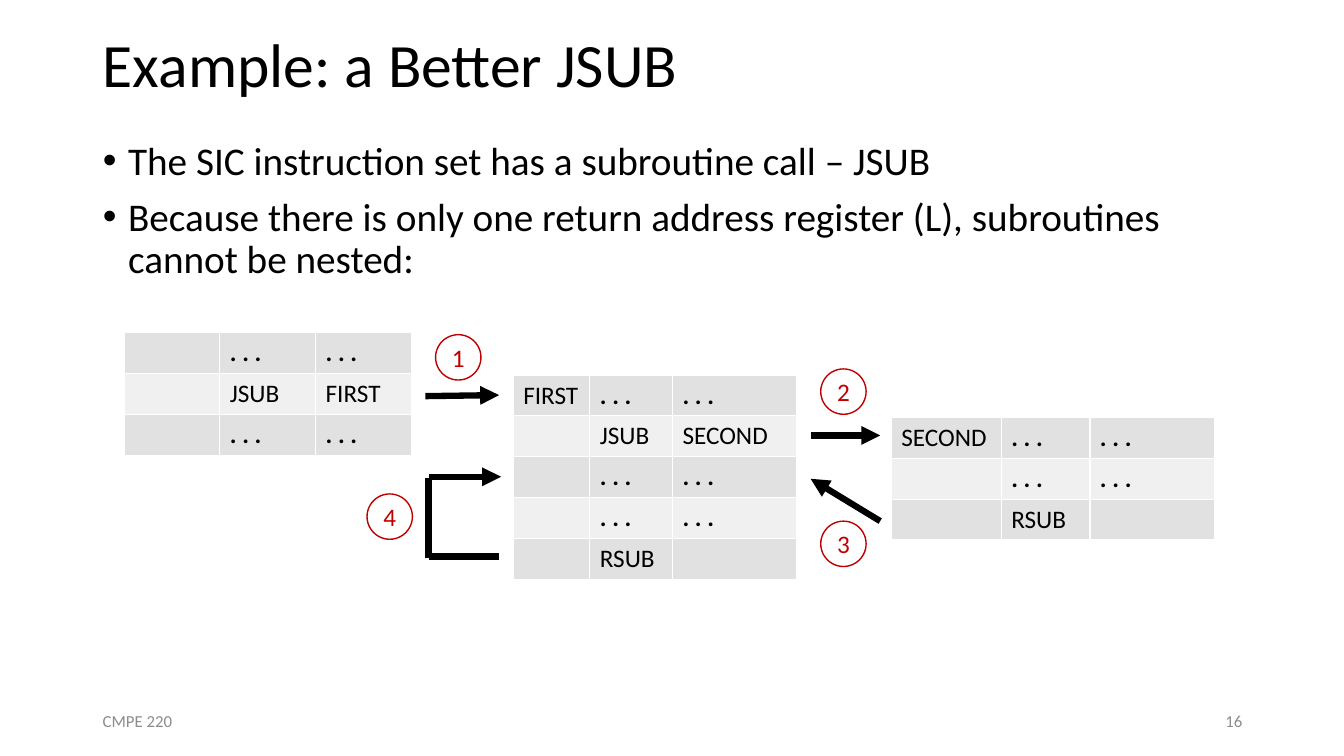
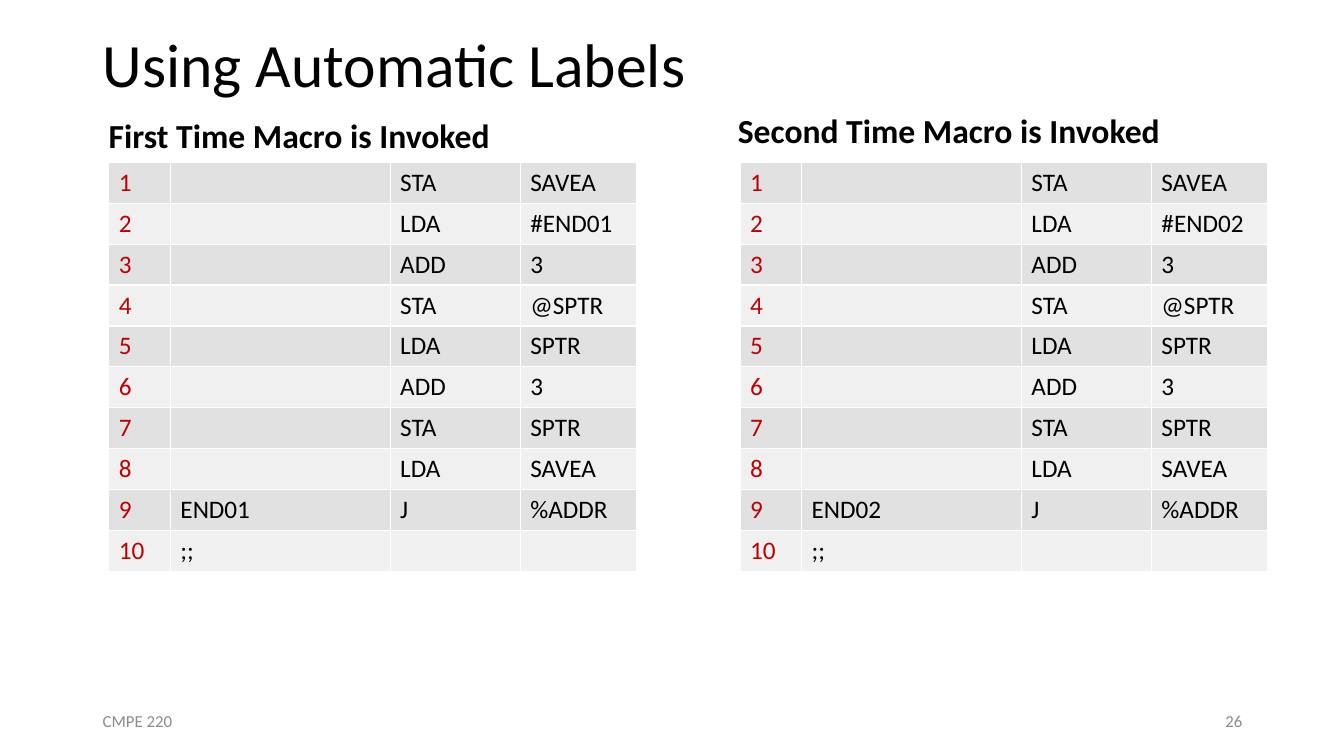
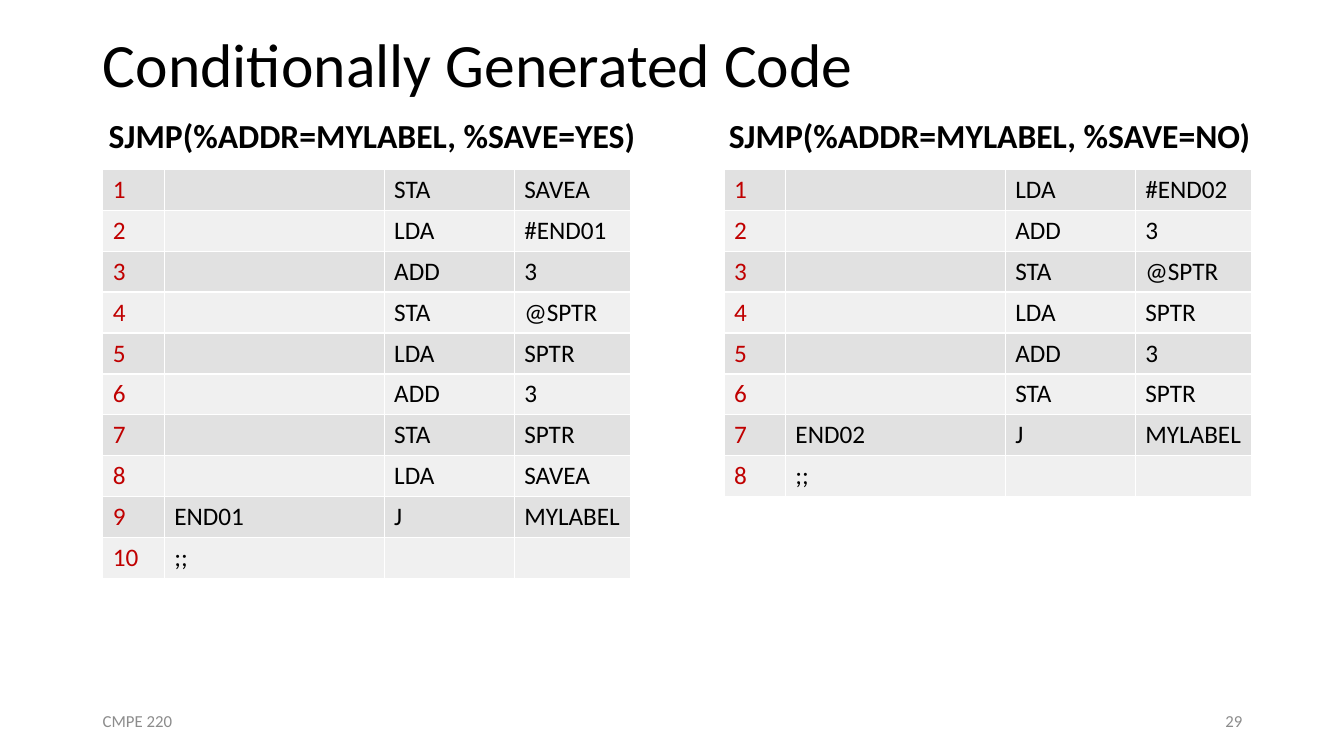
from pptx import Presentation
from pptx import util as u
from pptx.dml.color import RGBColor
from pptx.enum import shapes, text
from pptx.oxml.ns import qn
from lxml import etree

COLORS = {
    "ink": "000000",
    "accent": "C00000",
    "footer": "8C8C8C",
    "band_dark": "E1E1E1",
    "band_light": "F0F0F0",
    "grid": "FFFFFF",
}
FONT = "Calibri"
COURSE = "CMPE 220"
MARGIN, CONTENT_WIDTH = 0.92, 11.5
ROW_HEIGHT = 4.06 / 10
LISTING_COLUMNS = (0.61, 2.18, 1.29, 1.15)
BADGE_SIZE = 0.45
DOTS = ". . ."


def rgb(name):
    return RGBColor.from_string(COLORS[name])


def inches(*lengths):
    return [u.Inches(length) for length in lengths]


def add_run(paragraph, words, size, color="ink", bold=False):
    run = paragraph.add_run()
    run.text = words
    run.font.name = FONT
    run.font.size = u.Pt(size)
    run.font.bold = bold
    run.font.color.rgb = rgb(color)


def move(shape, box):
    shape.left, shape.top, shape.width, shape.height = inches(*box)


def add_footer_part(slide, left, words, align):
    frame = slide.shapes.add_textbox(*inches(left, 6.95, 3, 0.4)).text_frame
    frame.word_wrap = True
    frame.vertical_anchor = text.MSO_ANCHOR.MIDDLE
    frame.paragraphs[0].alignment = align
    add_run(frame.paragraphs[0], words, 12, "footer")


def add_slide(deck, layout_index, title, number):
    """Add a slide with the shared title and footer."""
    slide = deck.slides.add_slide(deck.slide_layouts[layout_index])
    heading = slide.shapes.title
    move(heading, (MARGIN, 0, CONTENT_WIDTH, 1.35))
    frame = heading.text_frame
    frame.auto_size = text.MSO_AUTO_SIZE.NONE
    frame.vertical_anchor = text.MSO_ANCHOR.MIDDLE
    paragraph = frame.paragraphs[0]
    paragraph.alignment = text.PP_ALIGN.LEFT
    paragraph.line_spacing = 0.9
    add_run(paragraph, title, 44)
    add_footer_part(slide, MARGIN, COURSE, text.PP_ALIGN.LEFT)
    add_footer_part(slide, MARGIN + CONTENT_WIDTH - 3, str(number), text.PP_ALIGN.RIGHT)
    return slide


def fill_bullets(body, box, points):
    move(body, box)
    frame = body.text_frame
    frame.auto_size = text.MSO_AUTO_SIZE.NONE
    for index, point in enumerate(points):
        paragraph = frame.add_paragraph() if index else frame.paragraphs[0]
        properties = paragraph._p.get_or_add_pPr()
        properties.set("marL", str(u.Inches(0.25)))
        properties.set("indent", str(u.Inches(-0.25)))
        paragraph.line_spacing = 0.9
        paragraph.space_before = u.Pt(10 if index else 0)
        add_run(paragraph, point, 28)


def style_cell(cell, band):
    cell.fill.solid()
    cell.fill.fore_color.rgb = rgb(band)
    properties = cell._tc.get_or_add_tcPr()
    for position, side in enumerate(("a:lnL", "a:lnR", "a:lnT", "a:lnB")):
        border = etree.Element(qn(side), w=str(u.Pt(1)))
        solid = etree.SubElement(border, qn("a:solidFill"))
        etree.SubElement(solid, qn("a:srgbClr"), val=COLORS["grid"])
        properties.insert(position, border)


def add_code_table(slide, left, top, columns, rows, numbered=False):
    """Add a banded table of code; numbered puts the first column in the accent colour."""
    size = inches(left, top, sum(columns), ROW_HEIGHT * len(rows))
    table = slide.shapes.add_table(len(rows), len(columns), *size).table
    table.first_row = table.horz_banding = False
    for column, width in zip(table.columns, columns):
        column.width = u.Inches(width)
    for row_index, row in enumerate(rows):
        for column_index, words in enumerate(row):
            cell = table.cell(row_index, column_index)
            style_cell(cell, "band_light" if row_index % 2 else "band_dark")
            if words:
                color = "accent" if numbered and column_index == 0 else "ink"
                add_run(cell.text_frame.paragraphs[0], words, 18, color, words == DOTS)


def add_flow_line(slide, start, end, arrow=True):
    line = slide.shapes.add_connector(shapes.MSO_CONNECTOR.STRAIGHT, *inches(*start, *end))
    line.line.color.rgb = rgb("ink")
    line.line.width = u.Pt(4.5)
    if arrow:
        etree.SubElement(line.line._get_or_add_ln(), qn("a:tailEnd"), type="triangle")
    etree.SubElement(line._element.spPr, qn("a:effectLst"))


def add_badge(slide, left, top, step):
    badge = slide.shapes.add_shape(
        shapes.MSO_SHAPE.OVAL, *inches(left, top, BADGE_SIZE, BADGE_SIZE))
    badge.shadow.inherit = False
    badge.fill.background()
    badge.line.color.rgb = rgb("accent")
    badge.line.width = u.Pt(1)
    frame = badge.text_frame
    frame.margin_left = frame.margin_right = frame.margin_top = frame.margin_bottom = 0
    frame.vertical_anchor = text.MSO_ANCHOR.MIDDLE
    frame.paragraphs[0].alignment = text.PP_ALIGN.CENTER
    add_run(frame.paragraphs[0], str(step), 18, "accent")


def add_call_diagram(slide, left, top):
    """Draw the nested calls: caller, FIRST and SECOND, each one row lower."""
    caller = [("", DOTS, DOTS), ("", "JSUB", "FIRST"), ("", DOTS, DOTS)]
    first = [("FIRST", DOTS, DOTS), ("", "JSUB", "SECOND"), ("", DOTS, DOTS),
             ("", DOTS, DOTS), ("", "RSUB", "")]
    second = [("SECOND", DOTS, DOTS), ("", DOTS, DOTS), ("", "RSUB", "")]
    routines = [(0, (0.95, 0.95, 0.95), caller),
                (3.86, (0.76, 0.82, 1.23), first),
                (7.61, (1.09, 0.88, 1.24), second)]
    for level, (offset, columns, rows) in enumerate(routines):
        add_code_table(slide, left + offset, top + 0.42 * level, columns, rows)

    flow = [((2.99, 0.63), (3.72, 0.62), True),
            ((6.81, 1.02), (7.5, 1.02), True),
            ((7.5, 1.87), (6.81, 1.45), True),
            ((3.72, 2.22), (3.02, 2.22), False),
            ((3.02, 2.24), (3.02, 1.44), False),
            ((3.02, 1.43), (3.74, 1.43), True)]
    for (x1, y1), (x2, y2), arrow in flow:
        add_flow_line(slide, (left + x1, top + y1), (left + x2, top + y2), arrow)

    steps = [(3.09, 0.02), (6.91, 0.36), (6.91, 1.87), (2.41, 1.6)]
    for step, (x, y) in enumerate(steps, 1):
        add_badge(slide, left + x, top + y, step)


def macro_rows(end_label, address, save=True):
    """Numbered expansion of the macro; save adds the lines that keep register A."""
    code = [("", "LDA", "#" + end_label), ("", "ADD", "3"), ("", "STA", "@SPTR"),
            ("", "LDA", "SPTR"), ("", "ADD", "3"), ("", "STA", "SPTR")]
    if save:
        code = [("", "STA", "SAVEA"), *code, ("", "LDA", "SAVEA")]
    code += [(end_label, "J", address), (";;", "", "")]
    return [(str(number), *line) for number, line in enumerate(code, 1)]


def add_listing(slide, left, top, caption, caption_offset, caption_width, rows):
    """Add a numbered listing with its caption, offset from the table's corner."""
    dx, dy = caption_offset
    box = slide.shapes.add_textbox(*inches(left + dx, top + dy, caption_width, 0.5))
    box.text_frame.word_wrap = False
    box.text_frame.auto_size = text.MSO_AUTO_SIZE.SHAPE_TO_FIT_TEXT
    add_run(box.text_frame.paragraphs[0], caption, 24, bold=True)
    add_code_table(slide, left, top, LISTING_COLUMNS, rows, numbered=True)


def build_better_jsub(deck):
    slide = add_slide(deck, 1, "Example: a Better JSUB", 16)
    fill_bullets(slide.placeholders[1], (MARGIN, 1.35, CONTENT_WIDTH, 1.76), [
        "The SIC instruction set has a subroutine call – JSUB",
        "Because there is only one return address register (L), "
        "subroutines cannot be nested:",
    ])
    add_call_diagram(slide, 1.23, 3.3)


def build_automatic_labels(deck):
    slide = add_slide(deck, 5, "Using Automatic Labels", 26)
    add_listing(slide, 1.08, 1.61, "First Time Macro is Invoked",
                (-0.1, -0.52), 4.02, macro_rows("END01", "%ADDR"))
    add_listing(slide, 7.34, 1.61, "Second Time Macro is Invoked",
                (-0.12, -0.57), 4.43, macro_rows("END02", "%ADDR"))


def build_conditional_code(deck):
    slide = add_slide(deck, 5, "Conditionally Generated Code", 29)
    add_listing(slide, 1.02, 1.68, "SJMP(%ADDR=MYLABEL, %SAVE=YES)",
                (-0.04, -0.59), 5.48, macro_rows("END01", "MYLABEL"))
    add_listing(slide, 7.18, 1.68, "SJMP(%ADDR=MYLABEL, %SAVE=NO)",
                (-0.05, -0.59), 5.43, macro_rows("END02", "MYLABEL", save=False))


def main():
    deck = Presentation()
    deck.slide_width, deck.slide_height = inches(13.33, 7.5)
    build_better_jsub(deck)
    build_automatic_labels(deck)
    build_conditional_code(deck)
    deck.save("out.pptx")


if __name__ == "__main__":
    main()
